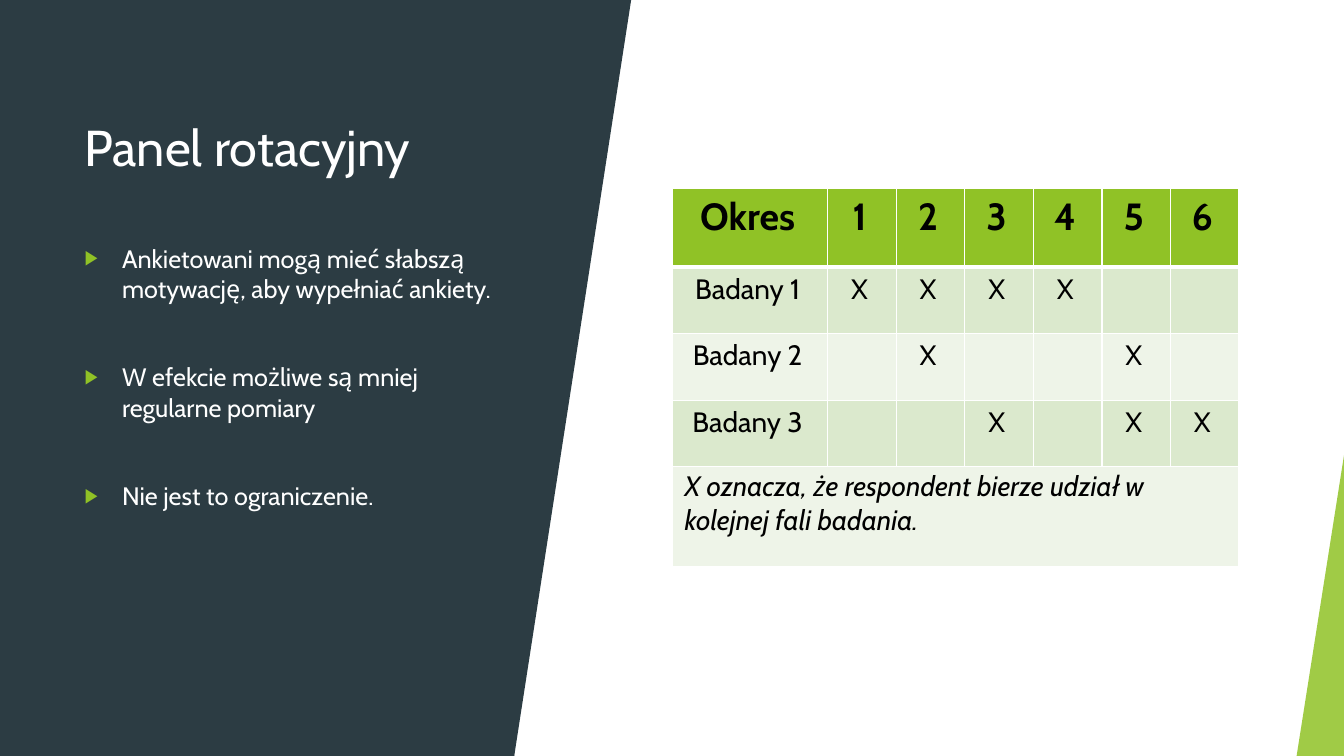
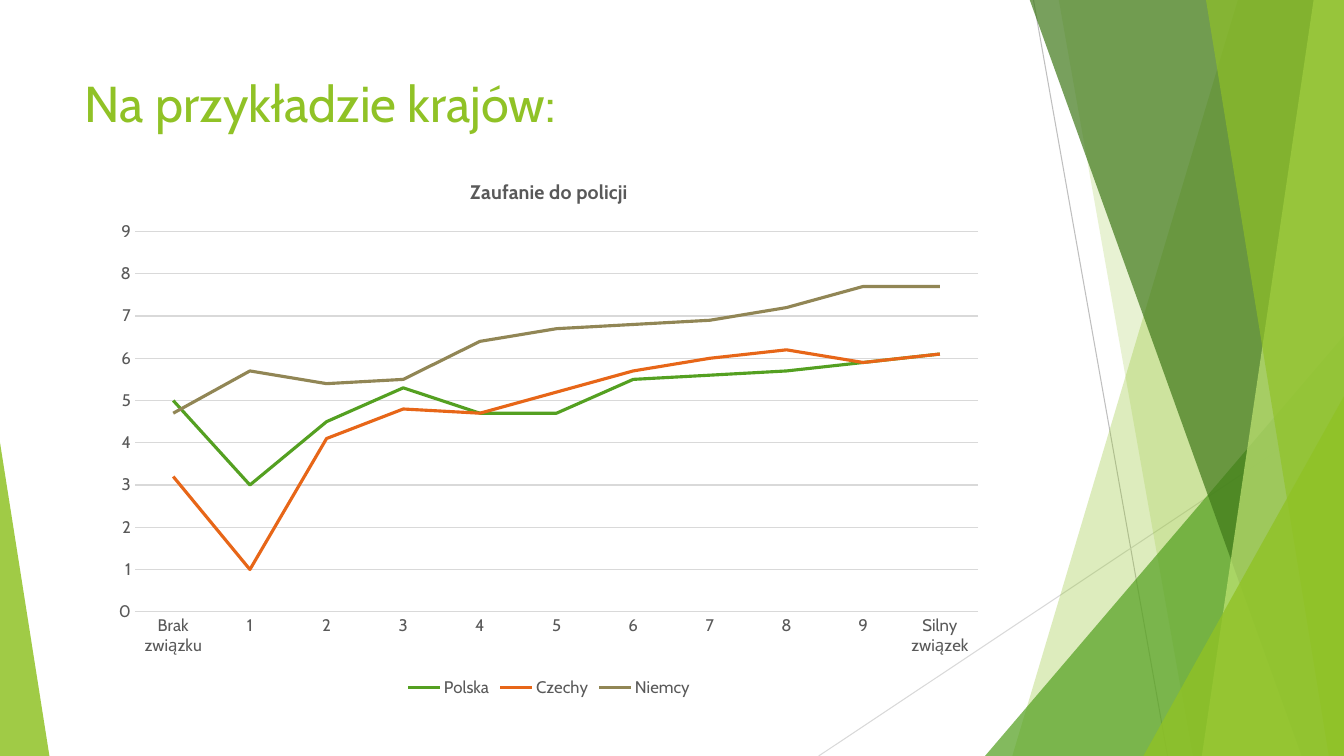
from lxml.etree import SubElement
from pptx import Presentation
from pptx.chart.data import CategoryChartData
from pptx.dml.color import RGBColor
from pptx.enum.chart import XL_CHART_TYPE as Chart, XL_LEGEND_POSITION as Legend, XL_TICK_MARK as Tick
from pptx.enum.shapes import MSO_CONNECTOR as Connector, MSO_SHAPE as Preset
from pptx.enum.text import MSO_ANCHOR as Anchor, MSO_AUTO_SIZE as AutoSize, PP_ALIGN as Align
from pptx.oxml import parse_xml
from pptx.oxml.ns import nsdecls, qn
from pptx.util import Inches, Pt

WIDTH, HEIGHT = 13.33, 7.5
FONT = "Cabin"
GREEN, MID_GREEN, DARK_GREEN, PALE_GREEN = "90C226", "54A021", "3F7819", "C0E474"
SLATE, WHITE, BLACK, GRAY, LIGHT_GRAY = "2C3C43", "FFFFFF", "000000", "595959", "D9D9D9"
BAND_DARK, BAND_LIGHT = "DBE9CD", "EEF4E8"
ORANGE, KHAKI = "E76618", "918655"


def color(value):
    return RGBColor.from_string(value)


def set_font(font, size=18, fill=BLACK, bold=False, italic=False):
    font.name, font.size = FONT, Pt(size)
    font.bold, font.italic = bold, italic
    font.color.rgb = color(fill)


def write(para, text, align=Align.LEFT, **style):
    para.alignment = align
    span = para.add_run()
    span.text = text
    set_font(span.font, **style)


def set_line(line, fill, width):
    line.color.rgb = color(fill)
    line.width = Pt(width)


def set_layout(parent, **percents):
    layout = parent.find(qn("c:layout"))
    if layout is None:
        layout = parse_xml(f"<c:layout {nsdecls('c')}/>")
        parent.insert(len(parent.findall(qn("c:tx"))), layout)
    manual = SubElement(layout, qn("c:manualLayout"))
    if "w" in percents:
        SubElement(manual, qn("c:layoutTarget"), val="inner")
    for axis in "xy":
        SubElement(manual, qn(f"c:{axis}Mode"), val="edge")
    for name, value in percents.items():
        SubElement(manual, qn(f"c:{name}"), val=f"{value / 100:.3f}")


class Deck:
    def __init__(self):
        self.deck = Presentation()
        self.deck.slide_width = Inches(WIDTH)
        self.deck.slide_height = Inches(HEIGHT)
        self.page = None

    def new_page(self, layout):
        self.page = self.deck.slides.add_slide(self.deck.slide_layouts[layout])

    def paint(self, shape, fill, opacity):
        shape.shadow.inherit = False
        shape.fill.solid()
        shape.fill.fore_color.rgb = color(fill)
        shape.line.fill.background()
        if opacity < 100:
            tint = shape.element.find(".//" + qn("a:srgbClr"))
            SubElement(tint, qn("a:alpha"), val=str(opacity * 1000))

    def shape(self, preset, at, fill, opacity=100, apex=None, rotation=0):
        shape = self.page.shapes.add_shape(preset, *map(Inches, at))
        if apex is not None:
            shape.adjustments[0] = apex
        shape.rotation = rotation
        self.paint(shape, fill, opacity)

    def facet(self, top_left, bottom_left, fill, opacity):
        corners = [(top_left, -0.01), (WIDTH, -0.01), (WIDTH, HEIGHT), (bottom_left, HEIGHT)]
        points = [(Inches(x), Inches(y)) for x, y in corners]
        builder = self.page.shapes.build_freeform(*points[0], scale=1.0)
        builder.add_line_segments(points[1:], close=True)
        self.paint(builder.convert_to_shape(), fill, opacity)

    def line(self, start, end, fill):
        connector = self.page.shapes.add_connector(Connector.STRAIGHT, *map(Inches, start + end))
        set_line(connector.line, fill, 0.75)
        SubElement(connector.element.spPr, qn("a:effectLst"))

    def wedge(self, left, apex):
        self.shape(Preset.ISOSCELES_TRIANGLE, (left, 4.39, 0.49, 3.11), GREEN, 85, apex)

    def master_facets(self):
        triangle = Preset.ISOSCELES_TRIANGLE
        self.line((10.25, 0), (11.58, HEIGHT), "BFBFBF")
        self.line((WIDTH, 4.03), (8.12, HEIGHT), LIGHT_GRAY)
        self.facet(12.28, 10.04, GREEN, 30)
        self.facet(10.5, 11.83, GREEN, 20)
        self.shape(triangle, (9.77, 3.33, 3.56, 4.17), MID_GREEN, 72, 1)
        self.facet(10.21, 12.91, DARK_GREEN, 70)
        self.facet(13.03, 11.92, PALE_GREEN, 70)
        self.facet(11.96, 13.18, GREEN, 65)
        self.shape(triangle, (11.34, 3.93, 1.99, 3.57), GREEN, 80, 1)
        self.wedge(0, 0)
        tree = self.deck.slide_master.shapes[0].element.getparent()
        facets = [shape for shape in self.page.shapes if not shape.is_placeholder]
        for index, facet in enumerate(facets):
            facet.element.find(".//" + qn("p:cNvPr")).set("id", str(100 + index))
            tree.insert(2 + index, facet.element)

    def place(self, holder, at, anchor):
        holder.left, holder.top, holder.width, holder.height = map(Inches, at)
        holder.element.getparent().append(holder.element)
        frame = holder.text_frame
        frame.word_wrap, frame.auto_size = True, AutoSize.NONE
        frame.vertical_anchor = anchor
        return frame

    def title(self, text, at, fill, anchor=Anchor.TOP):
        frame = self.place(self.page.shapes.title, at, anchor)
        write(frame.paragraphs[0], text, size=36, fill=fill)

    def bullets(self, items, at):
        frame = self.place(self.page.placeholders[1], at, Anchor.TOP)
        for index, item in enumerate(items):
            para = frame.add_paragraph() if index else frame.paragraphs[0]
            write(para, item, fill=WHITE)
            para.space_before, para.space_after = Pt(0), Pt(41.7)
            properties = para._p.get_or_add_pPr()
            properties.set("marL", str(Inches(0.37)))
            properties.set("indent", str(-Inches(0.37)))
            tint = SubElement(properties, qn("a:buClr"))
            SubElement(tint, qn("a:srgbClr"), val=GREEN)
            SubElement(properties, qn("a:buSzPct"), val="80000")
            SubElement(properties, qn("a:buChar"), char="▶")

    def cell(self, cell, text, fill, borders, anchor=Anchor.MIDDLE, **style):
        cell.margin_left, cell.margin_top = Inches(0.12), Inches(0.03)
        cell.margin_right, cell.margin_bottom = Inches(0.17), Inches(0.25)
        cell.vertical_anchor = anchor
        properties = cell._tc.get_or_add_tcPr()
        for side, width in borders.items():
            border = SubElement(properties, qn(f"a:ln{side}"), w=str(Pt(width)))
            paint = SubElement(border, qn("a:solidFill"))
            SubElement(paint, qn("a:srgbClr"), val=WHITE)
        cell.fill.solid()
        cell.fill.fore_color.rgb = color(fill)
        if text:
            write(cell.text_frame.paragraphs[0], text, **style)

    def table(self, rows, note, at, widths, heights):
        table = self.page.shapes.add_table(len(heights), len(widths), *map(Inches, at)).table
        table.horz_banding = False
        for column, width in zip(table.columns, widths):
            column.width = Inches(width)
        for row, height in zip(table.rows, heights):
            row.height = Inches(height)
        last = len(rows)
        for r, texts in enumerate(rows + [[note] + [""] * (len(widths) - 1)]):
            borders = {"L": 1, "R": 1, "T": 3 if r == 1 else 1, "B": 3 if r == 0 else 1}
            style = {"size": 20, "align": Align.CENTER}
            fill = BAND_DARK if r % 2 else BAND_LIGHT
            if r == 0:
                fill = GREEN
                style.update(size=27, bold=True)
            elif r == last:
                style.update(align=Align.LEFT, italic=True, anchor=Anchor.TOP)
            for c, text in enumerate(texts):
                self.cell(table.cell(r, c), text, fill, borders, **style)
        table.cell(last, 0).merge(table.cell(last, len(widths) - 1))

    def line_chart(self, title, categories, series, at):
        data = CategoryChartData(number_format="#,##0")
        data.categories = categories
        for name, (values, _) in series.items():
            data.add_series(name, values)
        chart = self.page.shapes.add_chart(Chart.LINE, *map(Inches, at), data).chart
        set_font(chart.font, size=12, fill=GRAY)
        chart.has_title = True
        write(chart.chart_title.text_frame.paragraphs[0], title,
              align=Align.CENTER, size=14, fill=GRAY, bold=True)
        set_layout(chart.element.find(".//" + qn("c:title")), x=40.8, y=3)
        set_layout(chart.element.find(".//" + qn("c:plotArea")), x=3.7, y=13.5, w=94.3, h=70)
        chart.has_legend = True
        chart.legend.position = Legend.BOTTOM
        chart.legend.include_in_layout = False
        set_font(chart.legend.font, size=12, fill=GRAY)
        for axis in (chart.category_axis, chart.value_axis):
            axis.major_tick_mark = axis.minor_tick_mark = Tick.NONE
            set_font(axis.tick_labels.font, size=12, fill=GRAY)
        set_line(chart.category_axis.format.line, LIGHT_GRAY, 0.75)
        scale = chart.value_axis
        scale.minimum_scale, scale.maximum_scale, scale.major_unit = 0, 9, 1
        scale.format.line.fill.background()
        scale.has_major_gridlines = True
        set_line(scale.major_gridlines.format.line, LIGHT_GRAY, 0.75)
        plot = chart.plots[0]
        plot.vary_by_categories = False
        for curve, (_, fill) in zip(plot.series, series.values()):
            curve.smooth = False
            set_line(curve.format.line, fill, 2.25)

    def save(self):
        self.deck.save("out.pptx")


def rotating_panel(deck):
    deck.new_page(1)
    deck.master_facets()
    deck.shape(Preset.RECTANGLE, (0, 0, WIDTH, HEIGHT), WHITE)
    deck.shape(Preset.RECTANGLE, (0, 0, 5.1, HEIGHT), SLATE)
    deck.shape(Preset.ISOSCELES_TRIANGLE, (5.1, 0, 1.16, HEIGHT), SLATE, apex=1, rotation=180)
    deck.title("Panel rotacyjny", (0.74, 0.7, 4.6, 1.5), WHITE, Anchor.MIDDLE)
    deck.bullets([
        "Ankietowani mogą mieć słabszą motywację, aby wypełniać ankiety.",
        "W efekcie możliwe są mniej regularne pomiary",
        "Nie jest to ograniczenie.",
    ], (0.74, 2.36, 4.35, 3.76))
    deck.wedge(12.86, 1)
    periods = range(1, 7)
    waves = {"Badany 1": (1, 2, 3, 4), "Badany 2": (2, 5), "Badany 3": (3, 5, 6)}
    rows = [["Okres"] + [str(period) for period in periods]]
    for person, taken in waves.items():
        rows.append([person] + ["X" if period in taken else "" for period in periods])
    deck.table(rows, "X oznacza, że respondent bierze udział w kolejnej fali badania.",
               (6.67, 1.87, 5.63, 3.75), [1.54] + [0.68] * 6, [0.78] + [0.66] * 3 + [0.99])


def police_trust(deck):
    deck.new_page(5)
    deck.title("Na przykładzie krajów:", (0.74, 0.67, 9.4, 1.44), GREEN)
    categories = ["Brak związku"] + [str(step) for step in range(1, 10)] + ["Silny związek"]
    deck.line_chart("Zaufanie do policji", categories, {
        "Polska": ((5, 3, 4.5, 5.3, 4.7, 4.7, 5.5, 5.6, 5.7, 5.9, 6.1), MID_GREEN),
        "Czechy": ((3.2, 1, 4.1, 4.8, 4.7, 5.2, 5.7, 6, 6.2, 5.9, 6.1), ORANGE),
        "Niemcy": ((4.7, 5.7, 5.4, 5.5, 6.4, 6.7, 6.8, 6.9, 7.2, 7.7, 7.7), KHAKI),
    }, (1.01, 1.57, 8.87, 5.39))


def main():
    deck = Deck()
    rotating_panel(deck)
    police_trust(deck)
    deck.save()


if __name__ == "__main__":
    main()
